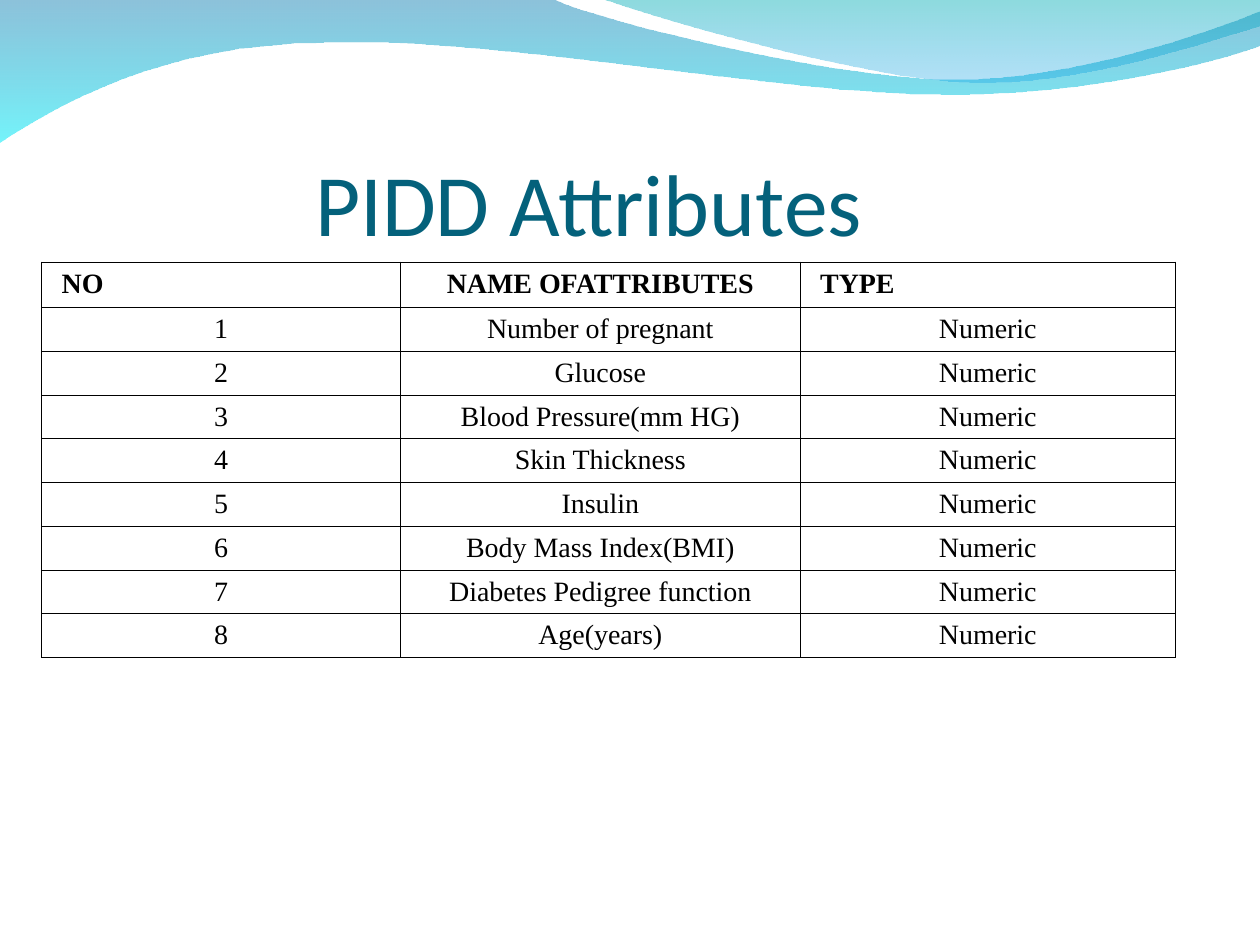
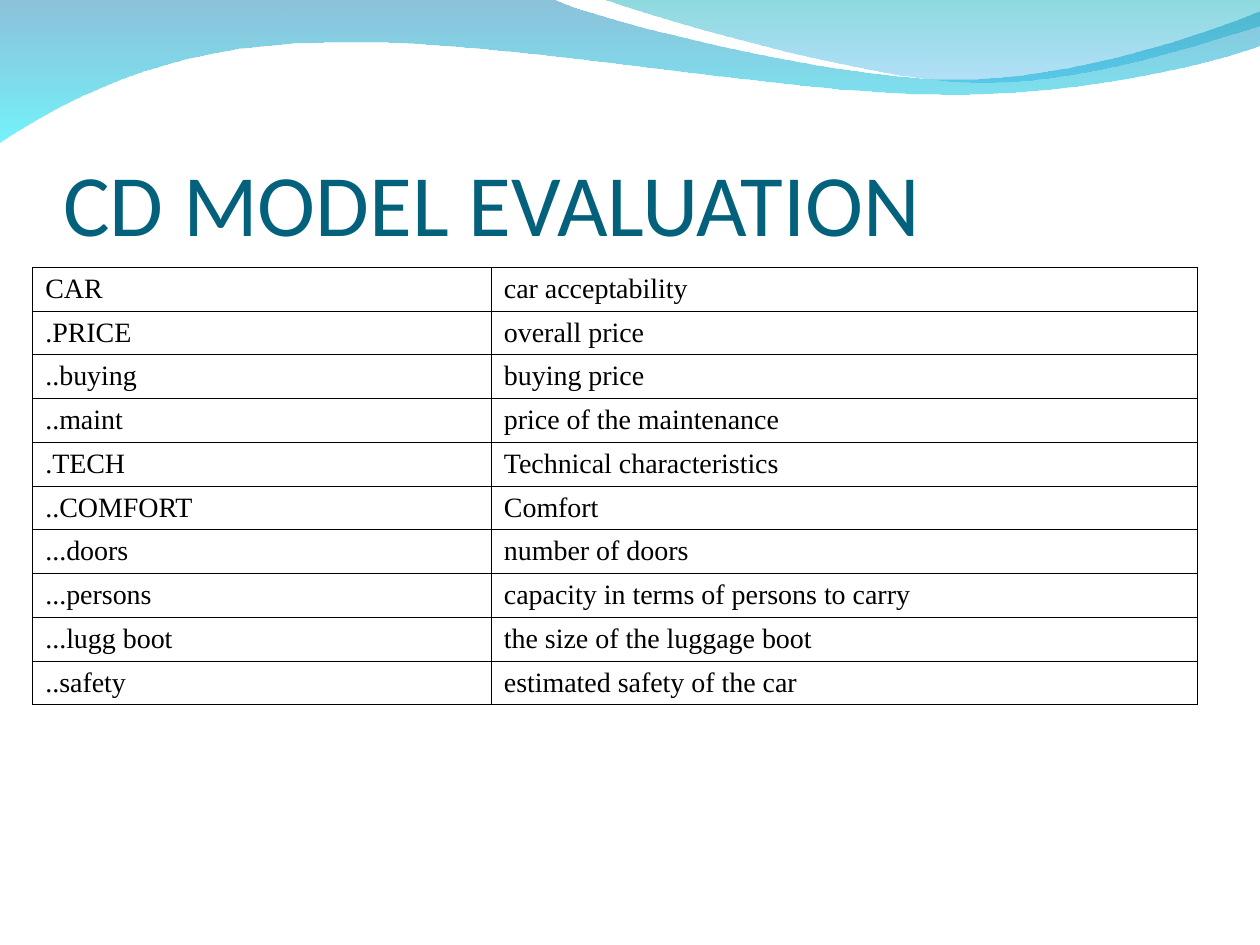
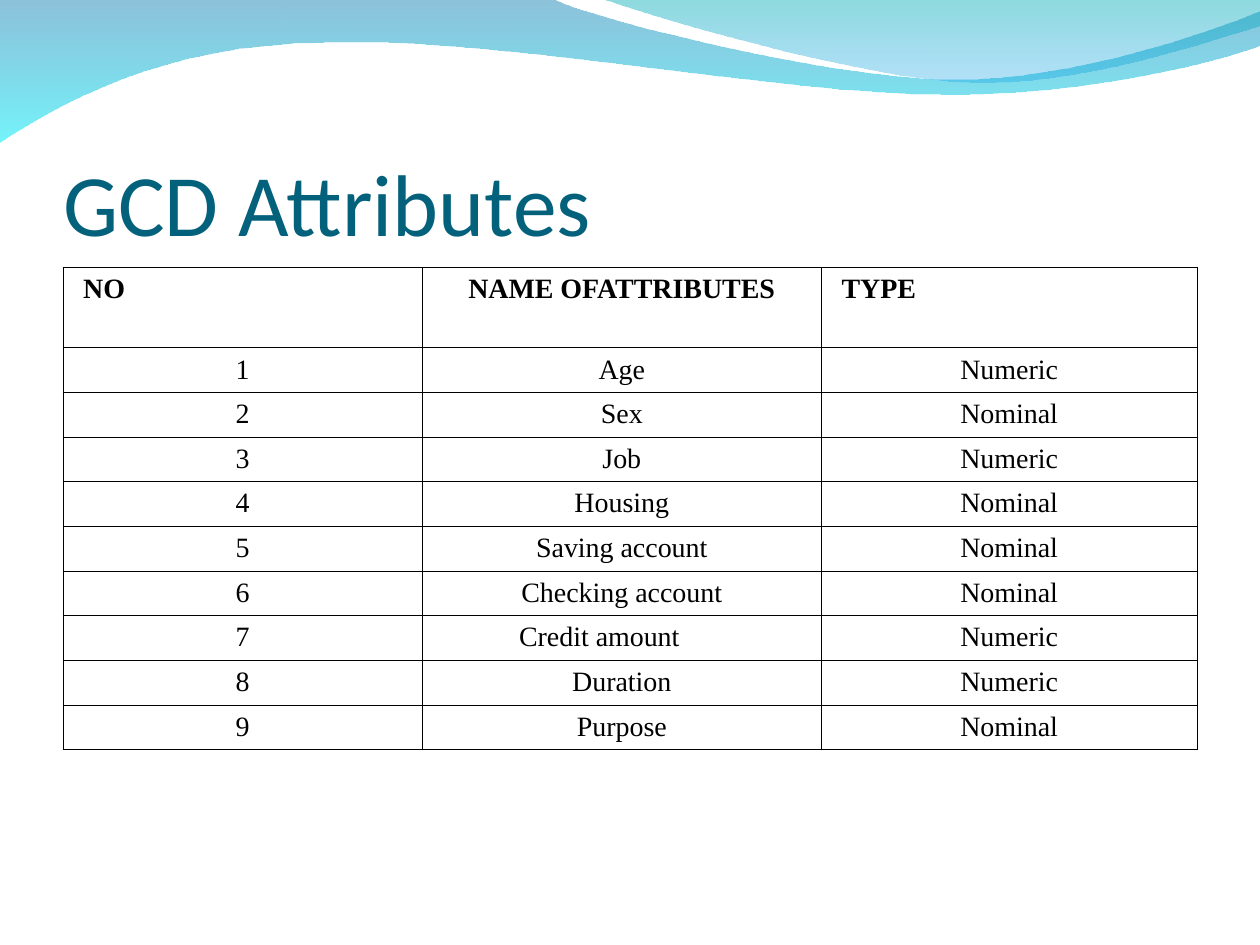
import itertools

import lxml.etree
import pptx
import pptx.dml.color
import pptx.enum.text
import pptx.oxml
import pptx.oxml.ns
import pptx.util

RGBColor = pptx.dml.color.RGBColor
Align = pptx.enum.text.PP_ALIGN
qn = pptx.oxml.ns.qn

TITLE_TEAL = RGBColor(0x04, 0x61, 0x7B)
BLACK = RGBColor(0, 0, 0)
DEEP_BLUE = RGBColor(0x00, 0x79, 0xAF)
BRIGHT_CYAN = RGBColor(0x00, 0xEB, 0xF8)
SEA_GREEN = RGBColor(0x00, 0xAD, 0xB6)
SKY_BLUE = RGBColor(0x00, 0x9B, 0xE5)

WIDTH = pptx.util.Inches(10)
HEIGHT = pptx.util.Inches(7.5)
UNIT = WIDTH // 10
CURVE_STEPS = 16
CELL_INSET = 0.1
TITLE_BOX = (0.5, 0.77, 9, 1.25)

WIDE_WAVE = [
    [(0, 0)], [(4.4, 0)],
    [(4.76, 0.17), (6.64, 0.63), (7.58, 0.63)],
    [(8.53, 0.63), (9.58, 0.26), (10, 0.09)],
    [(10, 0.36)],
    [(9.83, 0.44), (8.7, 0.76), (7.46, 0.75)],
    [(6.22, 0.75), (3.82, 0.28), (2.57, 0.34)],
    [(1.29, 0.35), (0.46, 0.83), (0, 1.13)],
]
RIGHT_WAVE = [
    [(4.79, 0)],
    [(5.09, 0.11), (6.82, 0.62), (7.69, 0.65)],
    [(8.56, 0.69), (9.61, 0.32), (10, 0.21)],
    [(10, 0)],
]

HEADINGS = ("NO", "NAME OFATTRIBUTES", "TYPE")
HEADING_INDENTS = {(0, 0): 0.06, (0, 2): 0.06}
ATTRIBUTE_COLUMNS = (2.85, 3.17, 2.98)
DIABETES_ATTRIBUTES = [
    "Number of pregnant", "Glucose", "Blood Pressure(mm HG)", "Skin Thickness",
    "Insulin", "Body Mass Index(BMI)", "Diabetes Pedigree function", "Age(years)",
]
CREDIT_ATTRIBUTES = [
    ("Age", "Numeric"), ("Sex", "Nominal"), ("Job", "Numeric"),
    ("Housing", "Nominal"), ("Saving account", "Nominal"),
    ("Checking account", "Nominal"), ("Credit amount", "Numeric"),
    ("Duration", "Numeric"), ("Purpose", "Nominal"),
]
CAR_CONCEPTS = [
    ("CAR", "car acceptability"),
    (".PRICE", "overall price"),
    ("..buying", "buying price"),
    ("..maint", "price of the maintenance"),
    (".TECH", "Technical characteristics"),
    ("..COMFORT", "Comfort"),
    ("...doors", "number of doors"),
    ("...persons", "capacity in terms of persons to carry"),
    ("...lugg boot", "the size of the luggage boot"),
    ("..safety", "estimated safety of the car"),
]


def units(value):
    """Convert grid units to a length."""
    return pptx.util.Emu(round(value * UNIT))


def outline(segments):
    """Turn line and curve segments into a list of points."""
    points = list(segments[0])
    for segment in segments[1:]:
        if len(segment) == 1:
            points += segment
            continue
        corners = [points[-1], *segment]
        for step in range(1, CURVE_STEPS + 1):
            t = step / CURVE_STEPS
            weights = ((1 - t) ** 3, 3 * t * (1 - t) ** 2, 3 * t * t * (1 - t), t ** 3)
            points.append(tuple(sum(w * corner[axis] for w, corner in zip(weights, corners))
                                for axis in (0, 1)))
    return [(units(x), units(y)) for x, y in points]


def add_wave(slide, segments, stops):
    """Draw one translucent wave with a gradient running downwards."""
    points = outline(segments)
    builder = slide.shapes.build_freeform(*points[0])
    builder.add_line_segments(points[1:], close=True)
    wave = builder.convert_to_shape()
    wave.shadow.inherit = False
    wave.line.fill.background()
    wave.fill.gradient()
    wave.fill.gradient_angle = 270
    for position, (stop, (color, _)) in enumerate(zip(wave.fill.gradient_stops, stops)):
        stop.position = position
        stop.color.rgb = color
    for tint, (_, opacity) in zip(wave.element.iter(qn("a:srgbClr")), stops):
        lxml.etree.SubElement(tint, qn("a:alpha")).set("val", str(opacity * 1000))
    return wave


def add_band(slide, layout):
    """Draw the wave band and place it on the layout behind everything."""
    waves = [
        add_wave(slide, WIDE_WAVE, [(DEEP_BLUE, 45), (BRIGHT_CYAN, 55)]),
        add_wave(slide, RIGHT_WAVE, [(SEA_GREEN, 45), (SKY_BLUE, 30)]),
    ]
    for depth, wave in enumerate(waves, start=2):
        layout.shapes.element.insert(depth, wave.element)


def add_run(paragraph, text, font, size, color, bold=False):
    """Add one formatted run."""
    run = paragraph.add_run()
    run.text = text
    run.font.name = font
    run.font.size = pptx.util.Pt(size)
    run.font.color.rgb = color
    run.font.bold = bold


def write_title(slide, text, indent):
    """Fill the title placeholder."""
    title = slide.shapes.title
    title.left, title.top, title.width, title.height = map(units, TITLE_BOX)
    frame = title.text_frame
    frame.word_wrap = True
    frame.auto_size = pptx.enum.text.MSO_AUTO_SIZE.NONE
    frame.vertical_anchor = pptx.enum.text.MSO_ANCHOR.BOTTOM
    frame.margin_left, frame.margin_top = units(indent), units(0.05)
    frame.margin_right = frame.margin_bottom = 0
    paragraph = frame.paragraphs[0]
    paragraph.alignment = Align.LEFT
    add_run(paragraph, text, "Calibri", 50, TITLE_TEAL)


def add_borders(cell):
    """Draw thin black lines on all sides of a cell."""
    properties = cell._tc.get_or_add_tcPr()
    for side in ("a:lnL", "a:lnR", "a:lnT", "a:lnB"):
        border = lxml.etree.SubElement(properties, qn(side), w=str(pptx.util.Pt(0.45)))
        fill = lxml.etree.SubElement(border, qn("a:solidFill"))
        lxml.etree.SubElement(fill, qn("a:srgbClr"), val=str(BLACK))


def write_cell(cell, text, indent, bold):
    """Write a cell, centred unless it has an indent."""
    add_borders(cell)
    cell.fill.background()
    cell.margin_left = units(CELL_INSET + (indent or 0))
    paragraph = cell.text_frame.paragraphs[0]
    paragraph.alignment = Align.CENTER if indent is None else Align.LEFT
    add_run(paragraph, text, "Times New Roman", 16, BLACK, bold)


def add_grid(slide, box, columns, rows, indents, header_height=None):
    """Fill a box with a ruled table whose body rows share the height evenly."""
    table = slide.shapes.add_table(len(rows), len(columns), *map(units, box)).table
    table.first_row = table.horz_banding = False
    for column, width in zip(table.columns, columns):
        column.width = units(width)
    has_header = header_height is not None
    body_height = (box[3] - (header_height or 0)) / (len(rows) - has_header)
    for r, texts in enumerate(rows):
        is_header = has_header and r == 0
        table.rows[r].height = units(header_height if is_header else body_height)
        for c, text in enumerate(texts):
            write_cell(table.cell(r, c), text, indents.get((r, c)), is_header)


def add_attributes(slide, box, header_height, attributes, extra_indents):
    """Place a numbered attribute table."""
    rows = [HEADINGS] + [(str(number), *attribute)
                         for number, attribute in enumerate(attributes, start=1)]
    add_grid(slide, box, ATTRIBUTE_COLUMNS, rows, HEADING_INDENTS | extra_indents, header_height)


def add_concepts(slide, box):
    """Place the left-aligned car concept table."""
    indents = dict.fromkeys(itertools.product(range(len(CAR_CONCEPTS)), range(2)), 0)
    add_grid(slide, box, (3.64, 5.6), CAR_CONCEPTS, indents)


def main():
    """Build the three slides and save them."""
    deck = pptx.Presentation()
    deck.slide_width, deck.slide_height = WIDTH, HEIGHT
    layout = deck.slide_layouts.get_by_name("Title Only")
    diabetes, car, credit = (deck.slides.add_slide(layout) for _ in range(3))
    add_band(diabetes, layout)

    write_title(diabetes, "PIDD Attributes", 2)
    add_attributes(diabetes, (0.33, 2.08, 9, 2.49), 0.36,
                   [(name, "Numeric") for name in DIABETES_ATTRIBUTES], {})

    write_title(car, "CD MODEL EVALUATION", 0)
    add_concepts(car, (0.26, 2.12, 9.24, 2.79))

    write_title(credit, "GCD Attributes", 0)
    add_attributes(credit, (0.5, 2.12, 9, 3.83), 0.64, CREDIT_ATTRIBUTES, {(7, 1): 0.67})

    deck.save("out.pptx")


if __name__ == "__main__":
    main()
